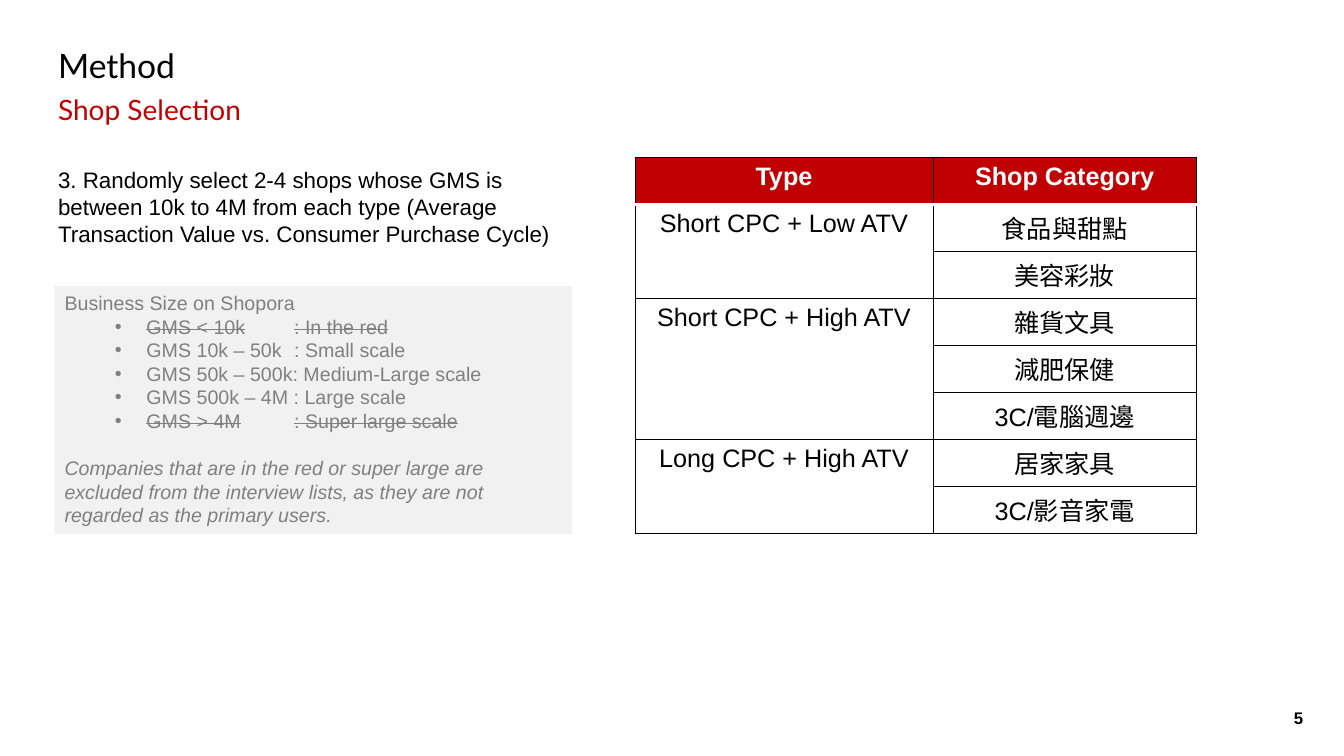
"""Build the Method / Shop Selection slide."""
from dataclasses import dataclass

import pptx
import pptx.dml.color
import pptx.enum.shapes
import pptx.enum.text
import pptx.oxml
import pptx.oxml.ns
import pptx.util

Pt = pptx.util.Pt
Align = pptx.enum.text.PP_ALIGN
Anchor = pptx.enum.text.MSO_ANCHOR
COLORS = {"black": "000000", "red": "C00000", "white": "FFFFFF",
          "grey": "808080", "panel": "F1F1F1"}


@dataclass
class Label:
    text: str
    left: float
    top: float
    width: float
    height: float
    size: float
    color: str = "black"
    font: str = "Arial"
    bold: bool = False
    align: Align = Align.LEFT
    anchor: Anchor = Anchor.MIDDLE
    inset: float = 6


@dataclass
class Scale:
    text: str
    excluded: bool = False


@dataclass
class ShopType:
    name: str
    categories: tuple[str, ...]


LABELS = [
    Label("5", 874, 502, 60.5, 22, 12, bold=True, align=Align.RIGHT, inset=3.6),
    Label("Method", 35.5, 25.5, 890.5, 42.5, 24, font="Lato"),
    Label("Shop Selection", 35.5, 57, 903, 42.5, 20, "red", "Lato"),
    Label("3. Randomly select 2-4 shops whose GMS is between 10k to 4M from each type "
          "(Average Transaction Value vs. Consumer Purchase Cycle)",
          35.5, 112.5, 376.5, 78.5, 16, anchor=Anchor.TOP),
]
SCALES = [
    Scale("GMS < 10k\t: In the red", True),
    Scale("GMS 10k – 50k\t: Small scale"),
    Scale("GMS 50k – 500k: Medium-Large scale"),
    Scale("GMS 500k – 4M : Large scale"),
    Scale("GMS > 4M\t: Super large scale", True),
]
SHOP_TYPES = [
    ShopType("Short CPC + Low ATV", ("食品與甜點", "美容彩妝")),
    ShopType("Short CPC + High ATV", ("雜貨文具", "減肥保健", "3C/電腦週邊")),
    ShopType("Long CPC + High ATV", ("居家家具", "3C/影音家電")),
]


def rgb(color: str) -> pptx.dml.color.RGBColor:
    return pptx.dml.color.RGBColor.from_string(COLORS[color])


def format_runs(para, size: float, color: str, font: str = "Arial",
                bold: bool = False, italic: bool = False) -> None:
    for span in para.runs:
        span.font.size = Pt(size)
        span.font.name = font
        span.font.bold = bold
        span.font.italic = italic
        span.font.color.rgb = rgb(color)


def add_label(page, label: Label) -> None:
    box = page.shapes.add_textbox(Pt(label.left), Pt(label.top), Pt(label.width), Pt(label.height))
    frame = box.text_frame
    frame.word_wrap = True
    frame.vertical_anchor = label.anchor
    frame.margin_left = frame.margin_right = Pt(label.inset)
    frame.margin_top = frame.margin_bottom = Pt(label.inset)
    frame.text = label.text
    para = frame.paragraphs[0]
    para.alignment = label.align
    format_runs(para, label.size, label.color, label.font, label.bold)


def make_bullet(para) -> None:
    properties = para._p.get_or_add_pPr()
    properties.set("marL", str(Pt(58.5)))
    properties.set("indent", str(Pt(-22.5)))
    namespace = pptx.oxml.ns.nsdecls("a")
    for xml in (f'<a:buFont {namespace} typeface="Arial"/>',
                f'<a:buChar {namespace} char="•"/>',
                f'<a:tabLst {namespace}><a:tab pos="{Pt(164)}" algn="l"/></a:tabLst>'):
        properties.append(pptx.oxml.parse_xml(xml))


def add_size_panel(page) -> None:
    panel = page.shapes.add_shape(pptx.enum.shapes.MSO_SHAPE.RECTANGLE,
                                  Pt(39), Pt(204.5), Pt(369.5), Pt(177))
    panel.shadow.inherit = False
    panel.fill.solid()
    panel.fill.fore_color.rgb = rgb("panel")
    panel.line.fill.background()
    frame = panel.text_frame
    frame.word_wrap = True
    frame.vertical_anchor = Anchor.TOP
    frame.text = "Business Size on Shopora"
    format_runs(frame.paragraphs[0], 14, "grey")
    for scale in SCALES:
        para = frame.add_paragraph()
        para.text = scale.text
        make_bullet(para)
        format_runs(para, 14, "grey")
        if scale.excluded:
            for span in para.runs:
                span.font._element.set("strike", "sngStrike")
    note = frame.add_paragraph()
    note.text = ("Companies that are in the red or super large are excluded from the interview "
                 "lists, as they are not regarded as the primary users.")
    note.space_before = Pt(17)
    format_runs(note, 14, "grey", italic=True)
    for para in frame.paragraphs:
        para.alignment = Align.LEFT


def set_border(cell, side: str, color: str, width: float) -> None:
    cell._tc.get_or_add_tcPr().append(pptx.oxml.parse_xml(
        f'<a:{side} {pptx.oxml.ns.nsdecls("a")} w="{Pt(width)}"><a:solidFill>'
        f'<a:srgbClr val="{COLORS[color]}"/></a:solidFill></a:{side}>'))


def style_cell(cell, row: int) -> None:
    header = row == 0
    set_border(cell, "lnL", "black", 0.5)
    set_border(cell, "lnR", "black", 0.5)
    set_border(cell, "lnT", *(("white", 3) if row == 1 else ("black", 0.5)))
    set_border(cell, "lnB", *(("white", 3) if header else ("black", 0.5)))
    cell.fill.solid()
    cell.fill.fore_color.rgb = rgb("red" if header else "white")
    para = cell.text_frame.paragraphs[0]
    para.alignment = Align.CENTER
    format_runs(para, 18, "white" if header else "black", bold=header)


def add_shop_table(page) -> None:
    row_count = 1 + sum(len(shop.categories) for shop in SHOP_TYPES)
    row_height = 33.6
    table = page.shapes.add_table(row_count, 2, Pt(453.5), Pt(112.5),
                                  Pt(401), Pt(row_height * row_count)).table
    table.columns[0].width = Pt(213)
    table.columns[1].width = Pt(188)
    table.cell(0, 0).text = "Type"
    table.cell(0, 1).text = "Shop Category"
    first = 1
    for shop in SHOP_TYPES:
        last = first + len(shop.categories) - 1
        table.cell(first, 0).text = shop.name
        for row, category in enumerate(shop.categories, first):
            table.cell(row, 1).text = category
        table.cell(first, 0).merge(table.cell(last, 0))
        first = last + 1
    for row in range(row_count):
        table.rows[row].height = Pt(row_height)
        for column in range(2):
            style_cell(table.cell(row, column), row)


def main() -> None:
    deck = pptx.Presentation()
    deck.slide_width, deck.slide_height = Pt(960), Pt(540)
    page = deck.slides.add_slide(deck.slide_layouts[6])
    for label in LABELS:
        add_label(page, label)
    add_shop_table(page)
    add_size_panel(page)
    deck.save("out.pptx")


if __name__ == "__main__":
    main()
